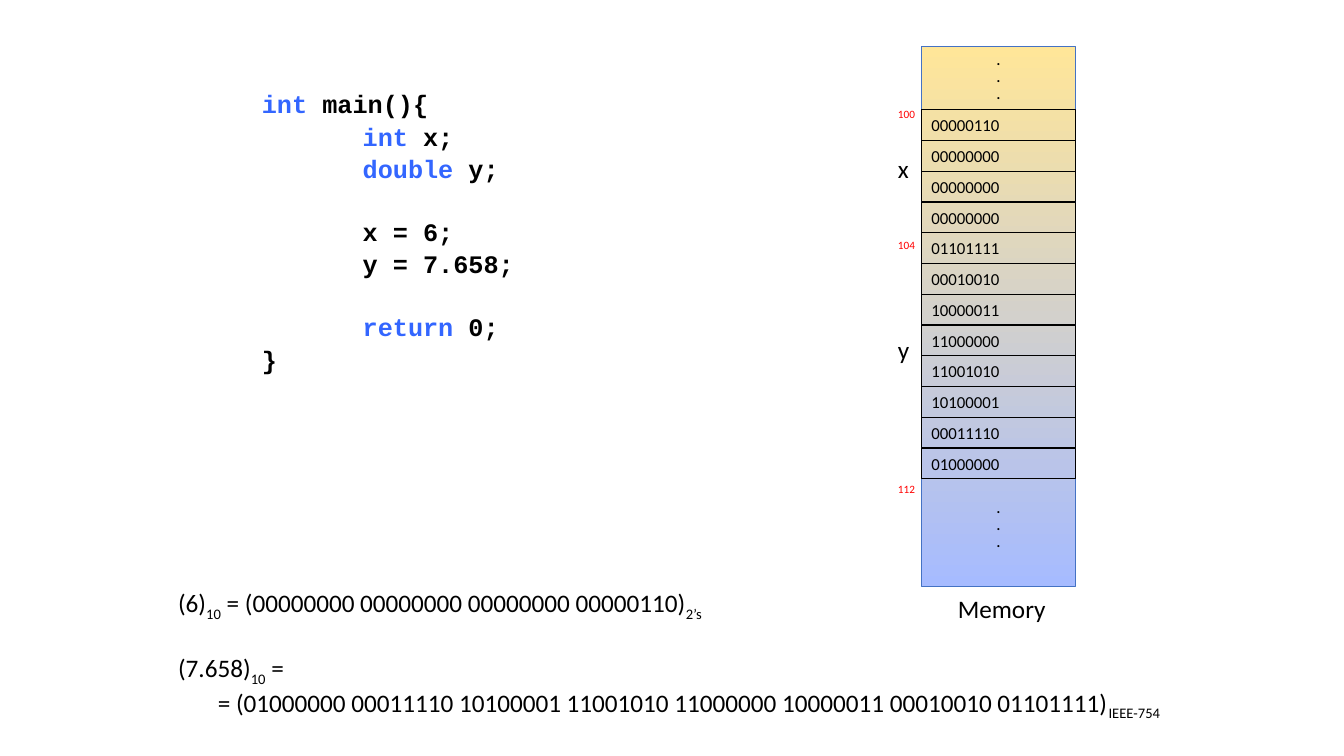
import pptx
import pptx.util
import pptx.dml.color
import pptx.enum.shapes
import pptx.enum.text

Cm = pptx.util.Cm
Pt = pptx.util.Pt
ALIGN = pptx.enum.text.PP_ALIGN
COLORS = {
    "text": "000000",
    "keyword": "3366FF",
    "address": "FF0000",
    "border": "4472C4",
    "memory_top": "FFE699",
    "memory_bottom": "A6BBFF",
}


def rgb(name):
    return pptx.dml.color.RGBColor.from_string(COLORS[name])


class MemorySlide:
    body_font = "Calibri"
    code_font = "Courier New"

    def __init__(self, slide):
        self.shapes = slide.shapes

    def rect(self, left, top, width, height, border, weight):
        shape = self.shapes.add_shape(
            pptx.enum.shapes.MSO_SHAPE.RECTANGLE,
            Cm(left), Cm(top), Cm(width), Cm(height))
        shape.shadow.inherit = False
        shape.fill.background()
        shape.line.color.rgb = rgb(border)
        shape.line.width = Pt(weight)
        return shape

    def gradient_rect(self, left, top, width, height):
        shape = self.rect(left, top, width, height, "border", 0.5)
        shape.fill.gradient()
        shape.fill.gradient_angle = 270
        for stop, name in zip(shape.fill.gradient_stops, ("memory_top", "memory_bottom")):
            stop.color.rgb = rgb(name)

    def style(self, paragraph, size, color="text", font=None, bold=False, align=ALIGN.LEFT):
        paragraph.alignment = align
        paragraph.font.size = Pt(size)
        paragraph.font.name = font or self.body_font
        paragraph.font.bold = bold
        paragraph.font.color.rgb = rgb(color)

    def cell(self, left, top, width, height, byte):
        shape = self.rect(left, top, width, height, "text", 0.75)
        frame = shape.text_frame
        frame.vertical_anchor = pptx.enum.text.MSO_ANCHOR.MIDDLE
        frame.text = byte
        self.style(frame.paragraphs[0], 12, align=ALIGN.JUSTIFY)

    def text(self, left, top, width, height, lines, size, **style):
        box = self.shapes.add_textbox(Cm(left), Cm(top), Cm(width), Cm(height))
        frame = box.text_frame
        frame.word_wrap = True
        frame.text = "\n".join(lines)
        for paragraph in frame.paragraphs:
            self.style(paragraph, size, **style)

    def rich_text(self, left, top, width, height, lines, size, spacing, **style):
        box = self.shapes.add_textbox(Cm(left), Cm(top), Cm(width), Cm(height))
        frame = box.text_frame
        frame.word_wrap = True
        for number, (indent, gap, parts) in enumerate(lines):
            paragraph = frame.add_paragraph() if number else frame.paragraphs[0]
            self.style(paragraph, size, **style)
            paragraph.line_spacing = spacing
            paragraph.space_before = Pt(gap)
            paragraph._p.get_or_add_pPr().set("marL", str(Cm(indent)))
            for words, role in parts:
                run = paragraph.add_run()
                run.text = words
                if role == "keyword":
                    run.font.color.rgb = rgb(role)
                elif role == "subscript":
                    run.font._element.set("baseline", "-25000")


presentation = pptx.Presentation()
presentation.slide_width = Cm(33.87)
presentation.slide_height = Cm(19.05)
page = MemorySlide(presentation.slides.add_slide(presentation.slide_layouts[6]))

MEMORY_LEFT, MEMORY_TOP, MEMORY_WIDTH = 23.22, 1.17, 3.89
FIRST_CELL, CELL_PITCH, CELL_HEIGHT = 2.77, 0.775, 0.77
LABEL_LEFT = 22.38

page.gradient_rect(MEMORY_LEFT, MEMORY_TOP, MEMORY_WIDTH, 13.61)

x_bytes = ["00000110", "00000000", "00000000", "00000000"]
y_bytes = ["01101111", "00010010", "10000011", "11000000",
           "11001010", "10100001", "00011110", "01000000"]
for index, byte in enumerate(x_bytes + y_bytes):
    page.cell(MEMORY_LEFT, FIRST_CELL + index * CELL_PITCH, MEMORY_WIDTH, CELL_HEIGHT, byte)

for dots_top in (MEMORY_TOP, 12.47):
    page.text(MEMORY_LEFT, dots_top, MEMORY_WIDTH, 1.55, [".", ".", "."], 10,
              bold=True, align=ALIGN.CENTER)

for address, address_top in (("100", 2.59), ("104", 5.87), ("112", 12.04)):
    page.text(LABEL_LEFT, address_top, 1.12, 0.6, [address], 8, color="address")

for variable, variable_top in (("x", 3.73), ("y", 8.31)):
    page.text(LABEL_LEFT, variable_top, 0.84, 1.02, [variable], 18)

page.text(23.57, 14.83, 3.35, 1.02, ["Memory"], 18, align=ALIGN.CENTER)

CODE_INDENT, CODE_GAP = 2.54, 21.8
code = [
    (0, 0, [("int", "keyword"), (" main(){", "")]),
    (CODE_INDENT, 0, [("int", "keyword"), (" x;", "")]),
    (CODE_INDENT, 0, [("double", "keyword"), (" y;", "")]),
    (CODE_INDENT, CODE_GAP, [("x = 6;", "")]),
    (CODE_INDENT, 0, [("y = 7.658;", "")]),
    (CODE_INDENT, CODE_GAP, [("return", "keyword"), (" 0;", "")]),
    (0, 0, [("}", "")]),
]
page.rich_text(6.35, 2.06, 10.24, 7.19, code, 18, 1.07, font=page.code_font, bold=True)

y_bits = " ".join(reversed(y_bytes))
x_bits = " ".join(reversed(x_bytes))
conversions = [
    (0, 0, [("(6)", ""), ("10", "subscript"), (f" = ({x_bits})", ""), ("2’s", "subscript")]),
    (0, 22, [("(7.658)", ""), ("10", "subscript"), (" =", "")]),
    (1, 0, [(f"= ({y_bits})", ""), ("IEEE-754", "subscript")]),
]
page.rich_text(4.24, 14.68, 27.1, 3.85, conversions, 18, 1)

presentation.save("out.pptx")
